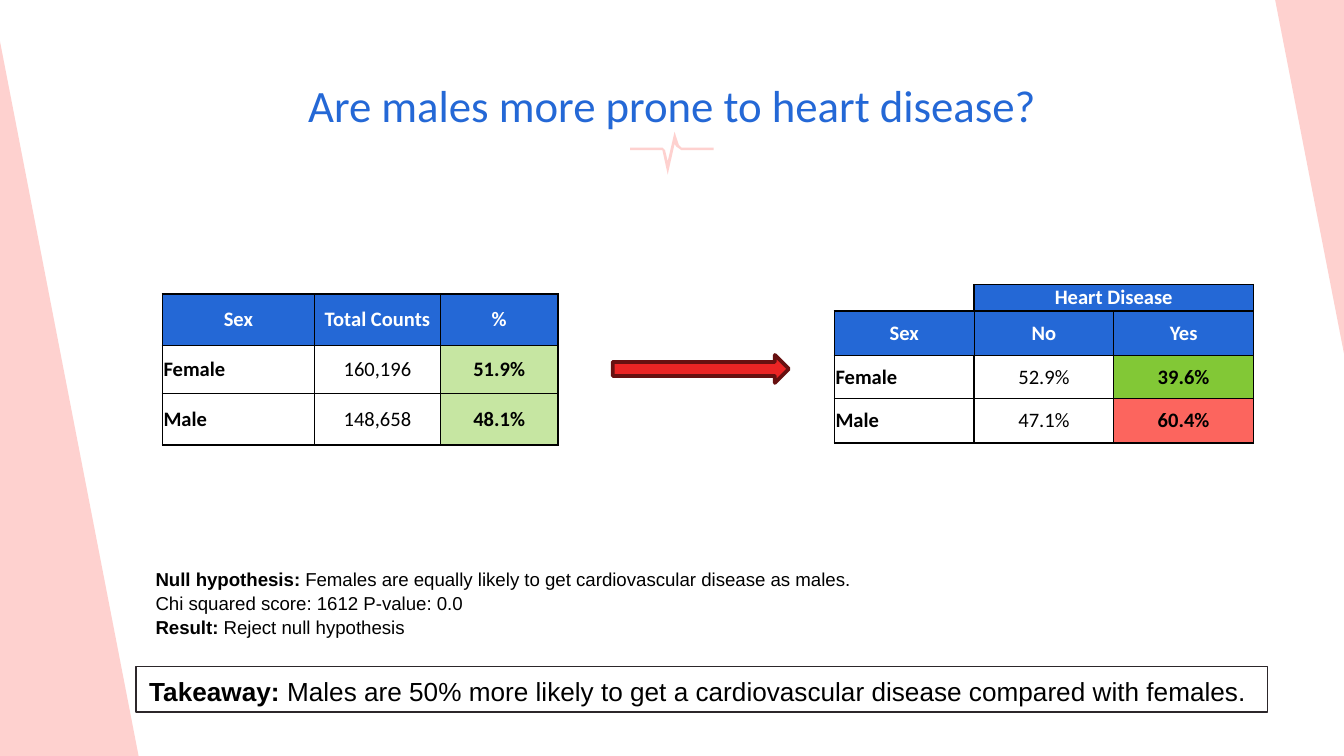
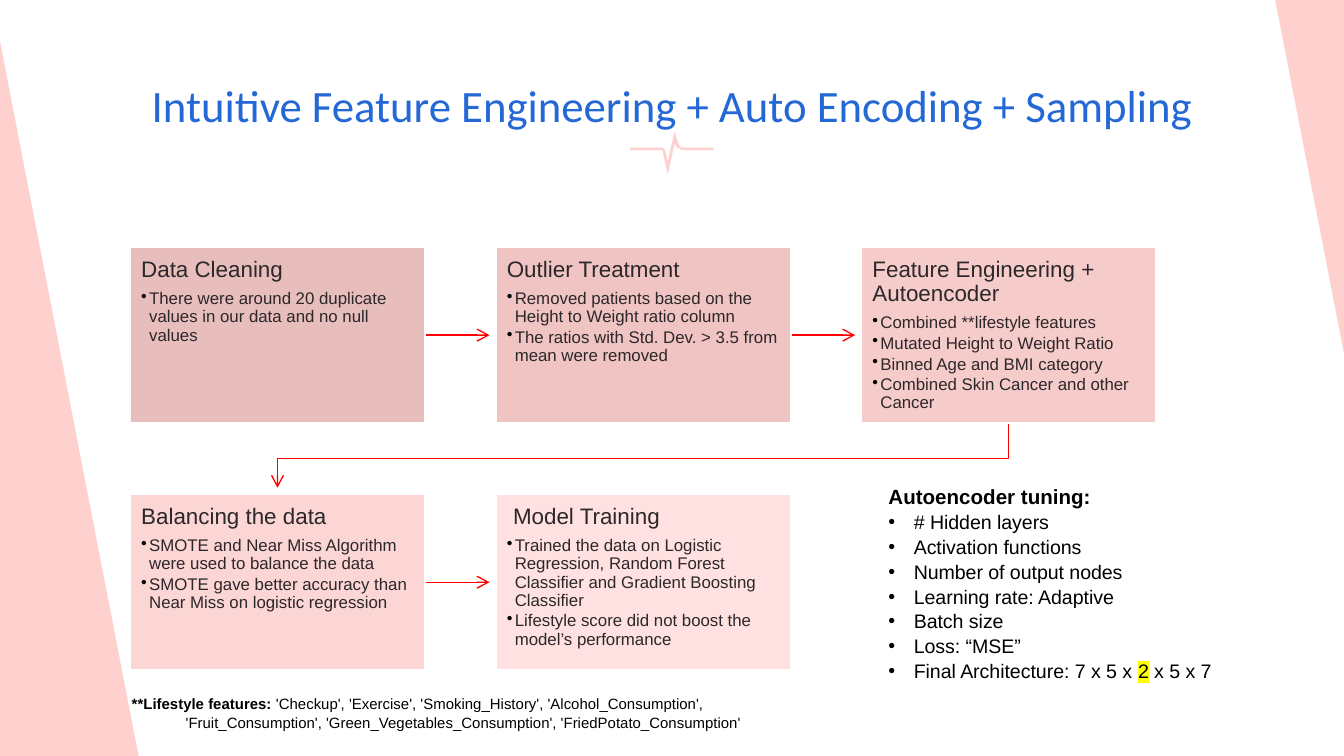
import lxml.etree
import pptx
import pptx.dml.color
import pptx.enum.shapes
import pptx.enum.text
import pptx.oxml.ns
import pptx.util

Cm = pptx.util.Cm
Pt = pptx.util.Pt
qn = pptx.oxml.ns.qn
ALIGN = pptx.enum.text.PP_ALIGN
ANCHOR = pptx.enum.text.MSO_ANCHOR
SHAPE = pptx.enum.shapes.MSO_SHAPE

HUES = {
    "blush": "FED1CF", "blue": "2468D6", "white": "FFFFFF", "black": "000000",
    "ink": "2C272A", "red": "FF0000", "arrow": "EA2424", "edge": "671010",
    "pale": "C6E6A2", "green": "82C836", "coral": "FC655E", "mark": "FFFF00",
}
SIZE = (25.4, 14.29)
TITLES = ["Are males more prone to heart disease?",
          "Intuitive Feature Engineering + Auto Encoding + Sampling"]

DECOR = [
    [(12.75, 2.49), (12.62, 3.05), (12.57, 2.84), (12.52, 2.79), (11.91, 2.79),
     (11.91, 2.84), (12.52, 2.84), (12.62, 3.3), (12.75, 2.72), (12.78, 2.77),
     (12.88, 2.84), (13.49, 2.84), (13.49, 2.79), (12.88, 2.79), (12.83, 2.74),
     (12.78, 2.59)],
    [(0, 0.78), (0, 14.29), (2.62, 14.29)],
    [(25.4, 6.68), (25.4, 0), (24.1, 0)],
]

TABLES = [
    {"at": (3.07, 5.56), "cols": (2.87, 2.39, 2.21), "rows": (0.97, 0.91, 0.97),
     "head": 0, "side": 0.5, "tints": ("pale", "pale"),
     "cells": [["Sex", "Total Counts", "%"],
               ["Female", "160,196", "51.9%"],
               ["Male", "148,658", "48.1%"]]},
    {"at": (15.77, 5.38), "cols": (2.64, 2.64, 2.64),
     "rows": (0.48, 0.84, 0.81, 0.84),
     "head": 1, "side": 1, "tints": ("green", "coral"),
     "cells": [["", "Heart Disease", ""],
               ["Sex", "No", "Yes"],
               ["Female", "52.9%", "39.6%"],
               ["Male", "47.1%", "60.4%"]]},
]

TEST = [
    [("Null hypothesis:", "bold"),
     (" Females are equally likely to get cardiovascular disease as males.", "")],
    [("Chi squared score: 1612 P-value: 0.0", "")],
    [("Result:", "bold"), (" Reject null hypothesis", "")],
]
TAKE = [[("Takeaway: ", "bold"),
         ("Males are 50% more likely to get a cardiovascular disease compared with females.", "")]]

STEPS = [
    ("Data Cleaning", "E7BEBC",
     ["There were around 20 duplicate values in our data and no null values"]),
    ("Outlier Treatment", "EFC4C2",
     ["Removed patients based on the Height to Weight ratio column",
      "The ratios with Std. Dev. > 3.5 from mean were removed"]),
    ("Feature Engineering + Autoencoder", "F6CCCA",
     ["Combined **lifestyle features", "Mutated Height to Weight Ratio",
      "Binned Age and BMI category", "Combined Skin Cancer and other Cancer"]),
    ("Balancing the data", "FBD6D4",
     ["SMOTE and Near Miss Algorithm were used to balance the data",
      "SMOTE gave better accuracy than Near Miss on logistic regression"]),
    (" Model Training", "FEE1E0",
     ["Trained the data on Logistic Regression, Random Forest Classifier and Gradient Boosting Classifier",
      "Lifestyle score did not boost the model’s performance"]),
]
GRID = {"left": 2.44, "top": 4.65, "wide": 5.61, "high": 3.37,
        "dx": 6.91, "dy": 4.67, "cols": 3}
REACH = 1.2

TUNING = [
    [("Autoencoder tuning:", "bold")],
    [("# Hidden layers", "")],
    [("Activation functions", "")],
    [("Number of output nodes", "")],
    [("Learning rate: Adaptive", "")],
    [("Batch size", "")],
    [("Loss: “MSE”", "")],
    [("Final Architecture: 7 x 5 x ", ""), ("2", "mark"), (" x 5 x 7", "")],
]
NOTES = [
    [("**Lifestyle features:", "bold"),
     (" 'Checkup', 'Exercise', 'Smoking_History', 'Alcohol_Consumption',", "")],
    [("'Fruit_Consumption', 'Green_Vegetables_Consumption', 'FriedPotato_Consumption'", "")],
]


def setup(item, **vals):
    for key, val in vals.items():
        setattr(item, key, val)


def color(hue):
    return pptx.dml.color.RGBColor.from_string(HUES.get(hue, hue))


def place(item, box):
    setup(item, **dict(zip(("left", "top", "width", "height"), map(Cm, box))))


def paint(shape, fill=None, line=None, width=1):
    shape.shadow.inherit = False
    if fill:
        shape.fill.solid()
        shape.fill.fore_color.rgb = color(fill)
    else:
        shape.fill.background()
    if line:
        stroke(shape, line, width)
    else:
        shape.line.fill.background()


def stroke(item, hue, width):
    item.line.color.rgb = color(hue)
    item.line.width = Pt(width)


def tip(item):
    line = item.element.spPr.find(qn("a:ln"))
    lxml.etree.SubElement(line, qn("a:tailEnd"), type="arrow")


def trace(slide, dots, close=True):
    spots = [(Cm(x), Cm(y)) for x, y in dots]
    form = slide.shapes.build_freeform(*spots[0], scale=1.0)
    form.add_line_segments(spots[1:], close=close)
    return form.convert_to_shape()


def write(par, runs, size, hue="black", face="Arial"):
    for text, style in runs:
        run = par.add_run()
        run.text = text
        setup(run.font, size=Pt(size), name=face, bold=style == "bold")
        run.font.color.rgb = color(hue)
        if style == "mark":
            mark = lxml.etree.Element(qn("a:highlight"))
            lxml.etree.SubElement(mark, qn("a:srgbClr"), val=HUES["mark"])
            run.font.fill._xPr.find(qn("a:solidFill")).addnext(mark)


def indent(par, left, dot=False):
    props = par._p.get_or_add_pPr()
    props.set("marL", str(Cm(left)))
    props.set("indent", str(-Cm(left) if dot else 0))
    if dot:
        tone = lxml.etree.SubElement(props, qn("a:buClr"))
        lxml.etree.SubElement(tone, qn("a:srgbClr"), val=HUES["black"])
        lxml.etree.SubElement(props, qn("a:buChar"), char="•")
    else:
        lxml.etree.SubElement(props, qn("a:buNone"))


def pars(frame, count):
    while len(frame.paragraphs) < count:
        frame.add_paragraph()
    for par in frame.paragraphs:
        setup(par, alignment=ALIGN.LEFT, space_before=Pt(0))
    return frame.paragraphs


def margins(item, x, y):
    setup(item, margin_left=Cm(x), margin_right=Cm(x),
          margin_top=Cm(y), margin_bottom=Cm(y))


def label(slide, box, rows, size):
    item = slide.shapes.add_textbox(*map(Cm, box))
    item.text_frame.word_wrap = True
    for par, runs in zip(pars(item.text_frame, len(rows)), rows):
        par.line_spacing = 1.06
        write(par, runs, size)
    return item


def begin(deck, kind, text):
    slide = deck.slides.add_slide(deck.slide_layouts[kind])
    title = slide.shapes.title
    place(title, (0, 1.22, SIZE[0], 1.17))
    frame = title.text_frame
    setup(frame, vertical_anchor=ANCHOR.TOP, word_wrap=True,
          auto_size=pptx.enum.text.MSO_AUTO_SIZE.NONE)
    margins(frame, 0.25, 0.25)
    frame.paragraphs[0].alignment = ALIGN.CENTER
    write(frame.paragraphs[0], [(text, "")], 24, "blue", "Calibri")
    return slide


def decor(deck, slide):
    for num, dots in enumerate(DECOR):
        shape = trace(slide, dots)
        paint(shape, "blush")
        shape.element.nvSpPr.cNvPr.set("id", str(100 + num))
        deck.slide_master.shapes.element.insert(2 + num, shape.element)


def border(cell, sides):
    props = cell._tc.get_or_add_tcPr()
    for side, width in zip("LRTB", sides):
        line = lxml.etree.SubElement(props, qn("a:ln" + side), w=str(Pt(width)))
        if width:
            fill = lxml.etree.SubElement(line, qn("a:solidFill"))
            lxml.etree.SubElement(fill, qn("a:srgbClr"), val=HUES["black"])
        else:
            lxml.etree.SubElement(line, qn("a:noFill"))


def grid(slide, spec):
    cells, head = spec["cells"], spec["head"]
    rows, cols = len(cells), len(cells[0])
    size = sum(spec["cols"]), sum(spec["rows"])
    table = slide.shapes.add_table(rows, cols, *map(Cm, spec["at"] + size)).table
    setup(table, first_row=False, horz_banding=False)
    for col, wide in zip(table.columns, spec["cols"]):
        col.width = Cm(wide)
    for row, high in zip(table.rows, spec["rows"]):
        row.height = Cm(high)
    for r, line in enumerate(cells):
        top = 1 if r <= head + 1 else 0.5
        base = 1 if r <= head or r == rows - 1 else 0.5
        for c, text in enumerate(line):
            cell, last = table.cell(r, c), c == cols - 1
            side = spec["side"] if r > head else 0.5
            sides = (1 if c == 0 else side if c == 1 else 0.5,
                     1 if last else side if c == 0 else 0.5, top, base)
            blank = r < head and c == 0
            border(cell, (0, 1, 0, 1) if blank else sides)
            margins(cell, 0.02, 0.01)
            cell.vertical_anchor = ANCHOR.MIDDLE
            tint = "blue" if r <= head else spec["tints"][r - head - 1] if last else None
            if tint and not blank:
                cell.fill.solid()
                cell.fill.fore_color.rgb = color(tint)
            else:
                cell.fill.background()
            par = cell.text_frame.paragraphs[0]
            par.alignment = ALIGN.LEFT if r > head and c == 0 else ALIGN.CENTER
            if text:
                style = "" if r > head and c == 1 else "bold"
                write(par, [(text, style)], 11, "white" if r <= head else "black", "Calibri")
            else:
                lxml.etree.SubElement(par._p, qn("a:endParaRPr"), sz="1100")
    if head:
        table.cell(0, 1).merge(table.cell(0, cols - 1))


def findings(slide):
    for spec in TABLES:
        grid(slide, spec)
    arrow = slide.shapes.add_shape(SHAPE.RIGHT_ARROW, *map(Cm, (11.58, 6.71, 3.33, 0.53)))
    paint(arrow, "arrow", "edge", 2)
    label(slide, (2.69, 10.59, 19.71, 1.55), TEST, 10)
    paint_box = label(slide, (2.57, 12.6, 21.39, 0.86), TAKE, 14)
    stroke(paint_box, "ink", 0.75)


def step(slide, x, y, name, hue, points):
    box = slide.shapes.add_shape(SHAPE.RECTANGLE, *map(Cm, (x, y, GRID["wide"], GRID["high"])))
    paint(box, hue, "white", 2)
    frame = box.text_frame
    setup(frame, word_wrap=True, vertical_anchor=ANCHOR.TOP)
    margins(frame, 0.23, 0.23)
    for num, (par, text) in enumerate(zip(pars(frame, len(points) + 1), [name] + points)):
        if num:
            indent(par, 0.15, True)
        setup(par, line_spacing=0.9, space_after=Pt(1.3 if num else 4.2))
        write(par, [(text, "")], 9 if num else 12, "ink")
    return box


def flow(slide):
    wide, high, cols = GRID["wide"], GRID["high"], GRID["cols"]
    for num, (name, hue, points) in enumerate(STEPS):
        row, col = divmod(num, cols)
        x, y = GRID["left"] + col * GRID["dx"], GRID["top"] + row * GRID["dy"]
        box = step(slide, x, y, name, hue, points)
        if num == len(STEPS) - 1:
            continue
        if col < cols - 1:
            ends = (x + wide, y + high / 2, x + wide + REACH, y + high / 2)
            link = slide.shapes.add_connector(
                pptx.enum.shapes.MSO_CONNECTOR.STRAIGHT, *map(Cm, ends))
            link.begin_connect(box, 3)
            stroke(link, "red", 0.75)
            lxml.etree.SubElement(link.element.spPr, qn("a:effectLst"))
        else:
            start, stop, low = x + wide / 2, GRID["left"] + wide / 2, y + high
            link = trace(slide, [(start, low), (start, low + 0.65),
                                 (stop, low + 0.65), (stop, low + REACH)], False)
            paint(link, None, "red", 0.75)
        tip(link)


def tuning(slide):
    body = slide.placeholders[1]
    place(body, (16.54, 8.99, 8.28, 3.86))
    frame = body.text_frame
    setup(frame, word_wrap=True, vertical_anchor=ANCHOR.TOP,
          auto_size=pptx.enum.text.MSO_AUTO_SIZE.NONE)
    margins(frame, 0.25, 0.13)
    for num, (par, runs) in enumerate(zip(pars(frame, len(TUNING)), TUNING)):
        indent(par, 0.48 if num else 0, num > 0)
        par.line_spacing = 1.06
        write(par, runs, 10.5 if num else 11)


def main():
    deck = pptx.Presentation()
    setup(deck, slide_width=Cm(SIZE[0]), slide_height=Cm(SIZE[1]))
    first = begin(deck, 5, TITLES[0])
    decor(deck, first)
    findings(first)
    second = begin(deck, 1, TITLES[1])
    flow(second)
    tuning(second)
    notes = label(second, (2.24, 12.98, 17.55, 0.94), NOTES, 8)
    indent(notes.text_frame.paragraphs[1], 1.02)
    deck.save("out.pptx")


if __name__ == "__main__":
    main()
